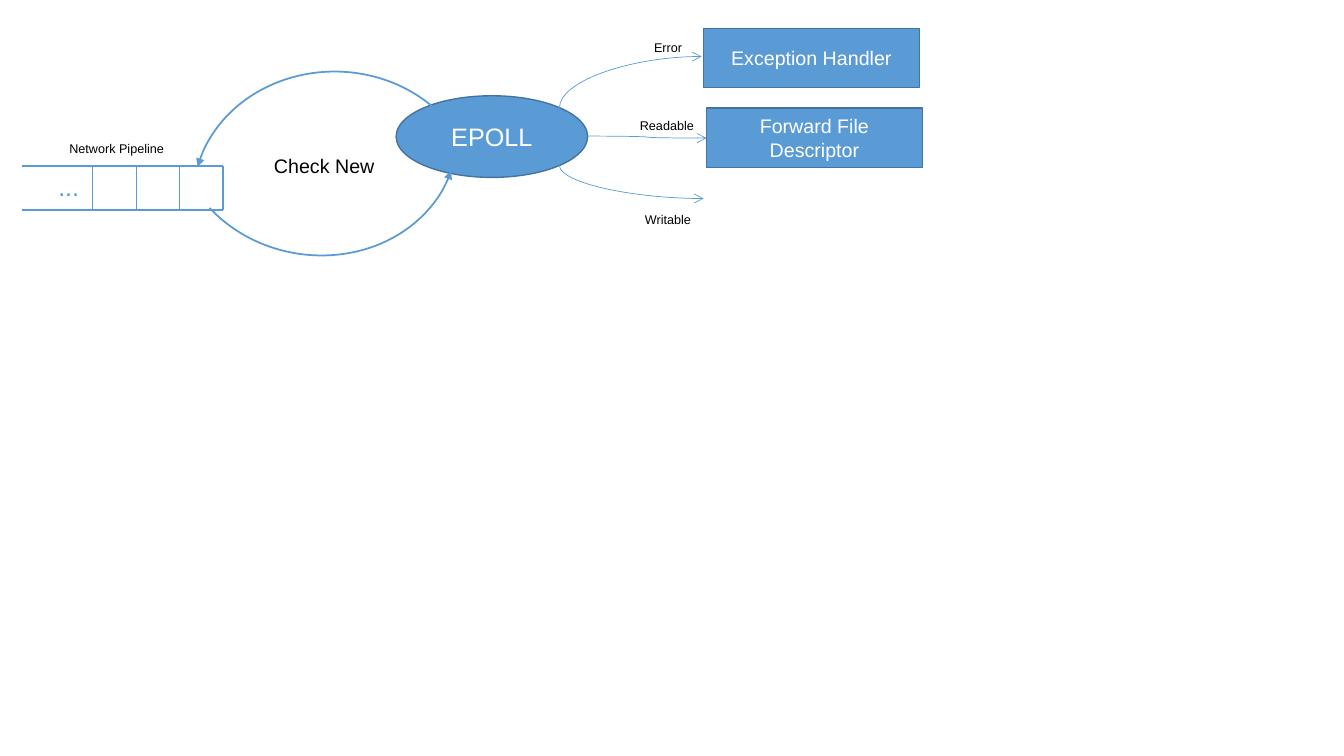
from lxml import etree
from pptx import Presentation
from pptx.dml.color import RGBColor
from pptx.enum.shapes import MSO_CONNECTOR, MSO_SHAPE
from pptx.enum.text import MSO_ANCHOR, PP_ALIGN
from pptx.oxml.ns import qn
from pptx.util import Inches, Pt

OVAL = MSO_SHAPE.FLOWCHART_CONNECTOR
BOX = MSO_SHAPE.ROUNDED_RECTANGLE
ARC = MSO_SHAPE.ARC
LINE = MSO_CONNECTOR.STRAIGHT
CURVE = MSO_CONNECTOR.CURVE
MID = MSO_ANCHOR.MIDDLE
LEFT = PP_ALIGN.LEFT
CENTER = PP_ALIGN.CENTER

COLORS = {"blue": "5B9BD5", "edge": "43739E", "white": "FFFFFF", "black": "000000"}
CELL = Inches(0.1)
COLS, ROWS = 133.33, 75
TURN = 60000


def grid(*cells):
    return [round(cell * CELL) for cell in cells]


def color(name):
    return RGBColor.from_string(COLORS[name])


def stroke(item, name, width):
    item.line.color.rgb = color(name)
    item.line.width = Pt(width)


def tip(item, end, kind):
    ln = item.line._get_or_add_ln()
    etree.SubElement(ln, qn(f"a:{end}"), type=kind)


def write(shape, text, size, name, align):
    frame = shape.text_frame
    frame.word_wrap = True
    para = frame.paragraphs[0]
    para.alignment = align
    run = para.add_run()
    run.text = text
    for key, value in {"name": "Arial", "size": Pt(size)}.items():
        setattr(run.font, key, value)
    run.font.color.rgb = color(name)


def node(slide, kind, at, text, size):
    shape = slide.shapes.add_shape(kind, *grid(*at))
    shape.shadow.inherit = False
    if kind == BOX:
        shape.adjustments[0] = 0
    shape.fill.solid()
    shape.fill.fore_color.rgb = color("blue")
    stroke(shape, "edge", 1)
    shape.text_frame.vertical_anchor = MID
    write(shape, text, size, "white", CENTER)


def label(slide, at, text, size=9, name="black"):
    write(slide.shapes.add_textbox(*grid(*at)), text, size, name, LEFT)


def link(slide, kind, ends, width):
    line = slide.shapes.add_connector(kind, *grid(*ends))
    etree.SubElement(line._element.spPr, qn("a:effectLst"))
    stroke(line, "blue", width)
    return line


def bend(slide, ends):
    left, top, right, end = ends
    wide, high = abs(end - top), right - left
    x, y = (left + right - wide) / 2, (top + end - high) / 2
    line = link(slide, CURVE, (x, y, x + wide, y + high), 0.5)
    props = line._element.spPr
    props.find(qn("a:prstGeom")).set("prst", "curvedConnector2")
    form = props.find(qn("a:xfrm"))
    form.set("rot", str((90 if end > top else 270) * TURN))
    if end > top:
        form.set("flipV", "1")
    return line


def sweep(slide, at, angles, turn=0):
    arc = slide.shapes.add_shape(ARC, *grid(*at))
    arc.shadow.inherit = False
    arc.fill.background()
    arc.rotation = turn
    for i, angle in enumerate(angles):
        arc.adjustments[i] = angle * TURN / 100000
    stroke(arc, "blue", 1.25)
    tip(arc, "headEnd", "triangle")


def queue(slide):
    left, top, low, step, count = 9.2, 16.5, 20.8, 4.3, 4
    right = left + step * (count - 1)
    for y in (top, low):
        link(slide, LINE, (2.2, y, right, y), 1.25)
    for i in range(count):
        x = left + step * i
        last = i == count - 1
        link(slide, LINE, (x, top, x, low), 1.25 if last else 0.5)
    label(slide, (4.8, top, 4.4, 4), "...", 18, "blue")
    label(slide, (5.9, 13.5, 12.6, 2.5), "Network Pipeline")


def main():
    prs = Presentation()
    prs.slide_width, prs.slide_height = grid(COLS, ROWS)
    slide = prs.slides.add_slide(prs.slide_layouts[6])

    node(slide, OVAL, (39.3, 9.5, 19, 8.1), "EPOLL", 18)
    queue(slide)

    sweep(slide, (19.2, 7.1, 28, 24.9), (192.44, 316.88))
    sweep(slide, (17.4, 0.4, 28, 24.9), (188.08, 314.75), 189)
    label(slide, (26.2, 14.8, 14, 3.4), "Check New", 14)

    arrows = [
        link(slide, CURVE, (58.3, 13.5, 70.1, 13.7), 0.5),
        bend(slide, (55.5, 16.4, 69.8, 19.7)),
        bend(slide, (55.5, 10.7, 69.6, 5.6)),
    ]
    for arrow in arrows:
        tip(arrow, "tailEnd", "arrow")

    for x, y, text in (
        (69.8, 2.8, "Exception Handler"),
        (70.1, 10.7, "Forward File Descriptor"),
    ):
        node(slide, BOX, (x, y, 21.4, 5.9), text, 14)

    for x, y, wide, text in (
        (63.9, 3.5, 5.5, "Error"),
        (62.5, 11.2, 8.3, "Readable"),
        (63, 20.5, 7.3, "Writable"),
    ):
        label(slide, (x, y, wide, 2.5), text)

    prs.save("out.pptx")


main()
